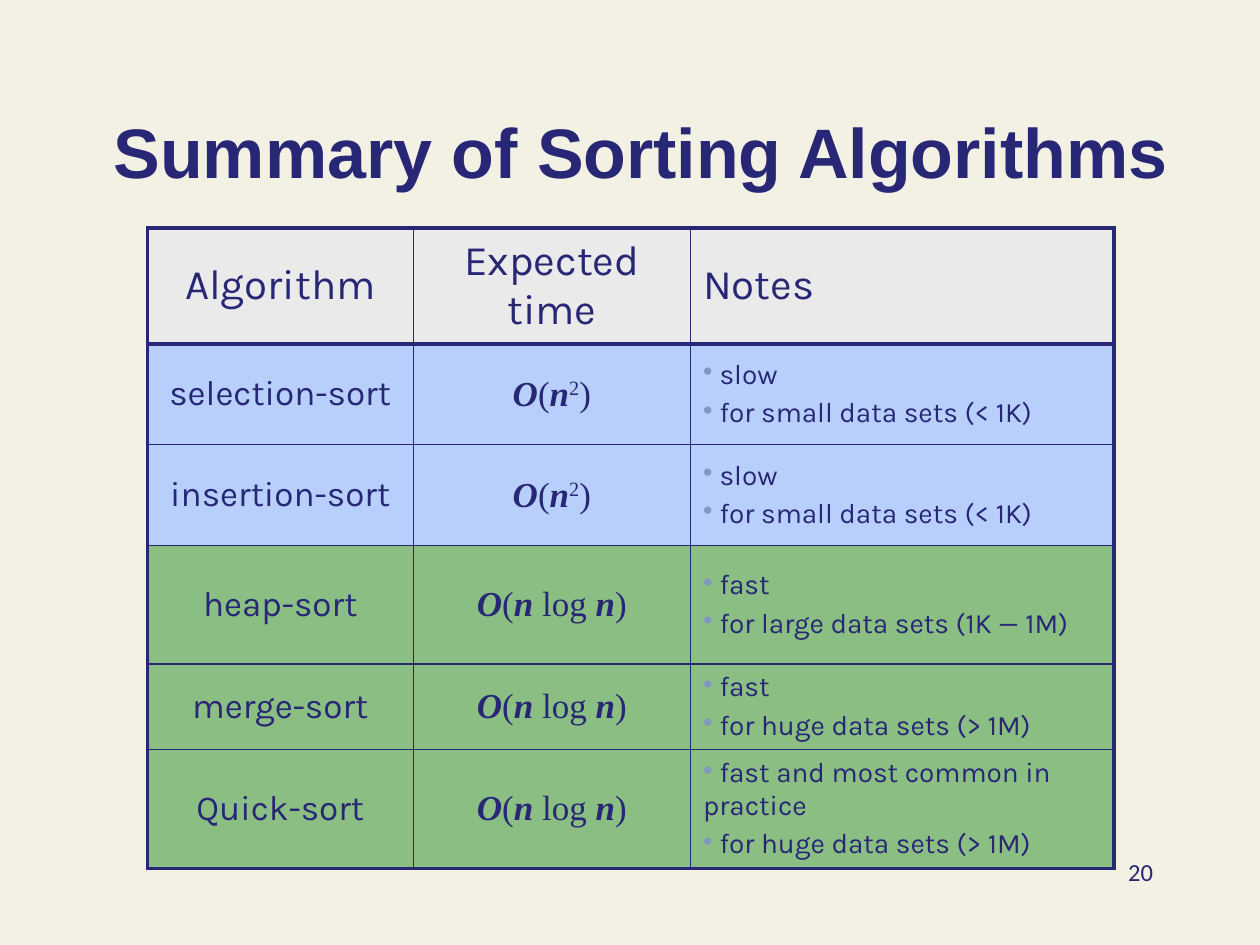
"""Build a slide with a table that sums up sorting algorithms."""
import lxml.etree
import pptx
import pptx.dml.color
import pptx.enum.text
import pptx.oxml.ns
import pptx.util
from pptx.util import Inches

INK = "272776"
HEADER, SLOW, FAST = "EAEAEA", "B8CFFB", "8BBE82"
ALIGN = pptx.enum.text.PP_ALIGN
ANCHOR = pptx.enum.text.MSO_ANCHOR
SQUARE = [("O", "italic"), ("(", ""), ("n", "italic"), ("2", "super"), (")", "")]
LOG = [("O", "italic"), ("(", ""), ("n", "italic"), (" log ", ""), ("n", "italic"), (")", "")]
ALGORITHMS = [
    ("selection-sort", SQUARE, ["slow", "for small data sets (< 1K)"], SLOW),
    ("insertion-sort", SQUARE, ["slow", "for small data sets (< 1K)"], SLOW),
    ("heap-sort", LOG, ["fast", "for large data sets (1K — 1M)"], FAST),
    ("merge-sort", LOG, ["fast", "for huge data sets (> 1M)"], FAST),
    ("Quick-sort", LOG, ["fast and most common in practice", "for huge data sets (> 1M)"], FAST),
]


def color(value):
    return pptx.dml.color.RGBColor.from_string(value)


def style(paragraph, font, size, align=ALIGN.CENTER, bold=False):
    paragraph.alignment = align
    for run in paragraph.runs:
        run.font.name = font
        run.font.size = pptx.util.Pt(size)
        run.font.bold = bold
        run.font.color.rgb = color(INK)


presentation = pptx.Presentation()
presentation.slide_width = Inches(10)
presentation.slide_height = Inches(7.5)
slide = presentation.slides.add_slide(presentation.slide_layouts[6])
slide.background.fill.solid()
slide.background.fill.fore_color.rgb = color("F3F1E4")

title = slide.shapes.add_textbox(Inches(0.67), Inches(0.33), Inches(8.83), Inches(1.25))
title.text_frame.word_wrap = True
title.text_frame.vertical_anchor = ANCHOR.BOTTOM
title.text_frame.text = "Summary of Sorting Algorithms"
style(title.text_frame.paragraphs[0], "Arial", 40, bold=True)

column_widths = [2.11, 2.2, 3.36]
row_heights = [0.92, 0.8, 0.8, 0.94, 0.68, 0.94]
table = slide.shapes.add_table(
    len(row_heights), len(column_widths), Inches(1.17), Inches(1.81),
    Inches(sum(column_widths)), Inches(sum(row_heights))).table
for column, width in zip(table.columns, column_widths):
    column.width = Inches(width)
for row, height in zip(table.rows, row_heights):
    row.height = Inches(height)

fills = [HEADER] + [algorithm[3] for algorithm in ALGORITHMS]
last_row, last_column = len(row_heights) - 1, len(column_widths) - 1
for row_index, fill in enumerate(fills):
    for column_index in range(len(column_widths)):
        cell = table.cell(row_index, column_index)
        cell.vertical_anchor = ANCHOR.MIDDLE
        heavy_sides = {
            "L": column_index == 0,
            "R": column_index == last_column,
            "T": row_index <= 1,
            "B": row_index in (0, last_row),
        }
        for side, heavy in heavy_sides.items():
            width = pptx.util.Pt(2.25 if heavy else 1)
            border = lxml.etree.SubElement(
                cell._tc.get_or_add_tcPr(), pptx.oxml.ns.qn(f"a:ln{side}"), w=str(width))
            solid = lxml.etree.SubElement(border, pptx.oxml.ns.qn("a:solidFill"))
            lxml.etree.SubElement(solid, pptx.oxml.ns.qn("a:srgbClr"), val=INK)
        cell.fill.solid()
        cell.fill.fore_color.rgb = color(fill)

headings = [("Algorithm", ALIGN.CENTER), ("Expected time", ALIGN.CENTER), ("Notes", ALIGN.LEFT)]
for cell, (heading, align) in zip(table.rows[0].cells, headings):
    cell.text_frame.text = heading
    style(cell.text_frame.paragraphs[0], "Karla", 24, align)

for row_index, (name, formula, notes, fill) in enumerate(ALGORITHMS, 1):
    name_cell, time_cell, notes_cell = table.rows[row_index].cells
    name_cell.text_frame.text = name
    style(name_cell.text_frame.paragraphs[0], "Karla", 20)

    paragraph = time_cell.text_frame.paragraphs[0]
    for text, kind in formula:
        paragraph.add_run().text = text
    style(paragraph, "Times New Roman", 20)
    for run, (text, kind) in zip(paragraph.runs, formula):
        run.font.bold = run.font.italic = kind == "italic"
        if kind == "super":
            run._r.get_or_add_rPr().set("baseline", "30000")

    notes_cell.text_frame.text = "\n".join(f" {note}" for note in notes)
    for index, paragraph in enumerate(notes_cell.text_frame.paragraphs):
        properties = paragraph._p.get_or_add_pPr()
        properties.set("marL", "0")
        properties.set("indent", str(Inches(-0.12)))
        bullet_color = lxml.etree.SubElement(properties, pptx.oxml.ns.qn("a:buClr"))
        lxml.etree.SubElement(bullet_color, pptx.oxml.ns.qn("a:srgbClr"), val="7F97C2")
        lxml.etree.SubElement(properties, pptx.oxml.ns.qn("a:buChar"), char="•")
        if index:
            paragraph.space_before = pptx.util.Pt(3.2)
        style(paragraph, "Karla", 16, ALIGN.LEFT)

page_number = slide.shapes.add_textbox(Inches(7.17), Inches(6.75), Inches(2.08), Inches(0.5))
page_number.text_frame.word_wrap = True
page_number.text_frame.text = "20"
style(page_number.text_frame.paragraphs[0], "Calibri", 14, ALIGN.RIGHT)

presentation.save("out.pptx")
